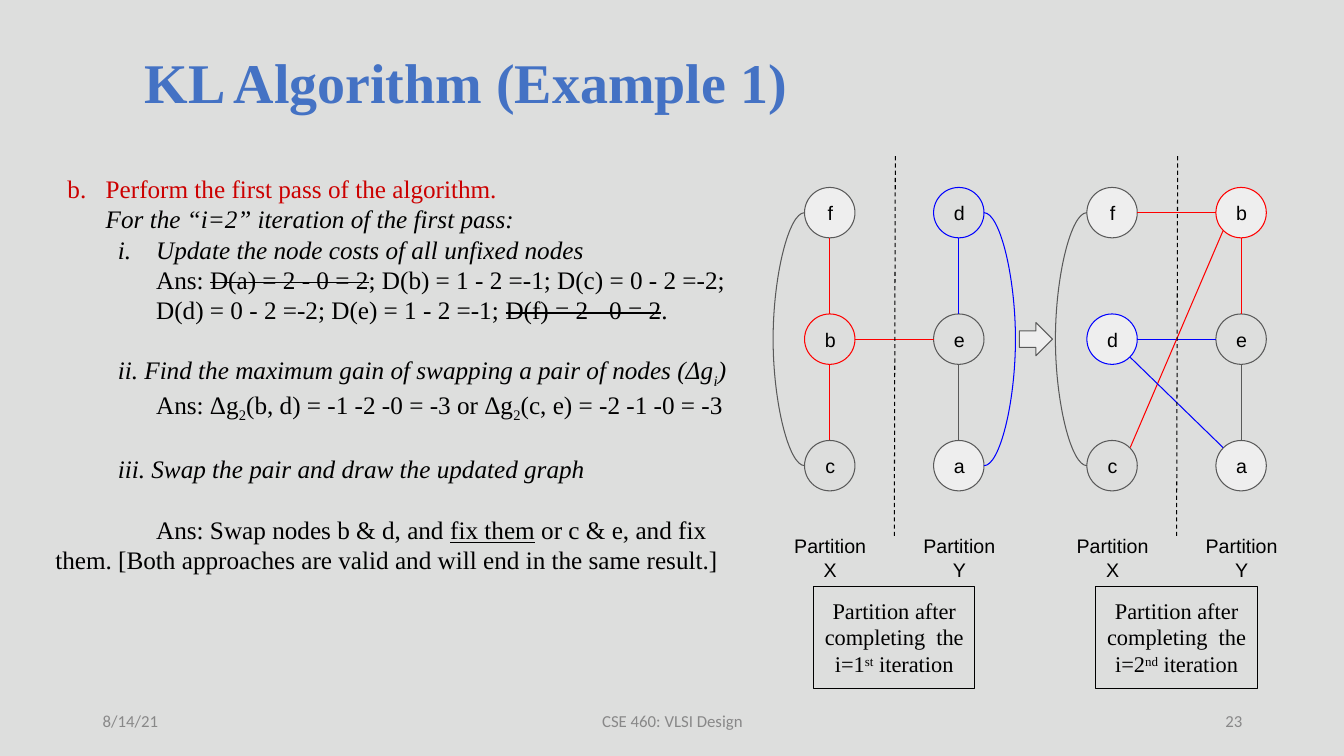
from pptx import Presentation
from pptx import util as u
from pptx.dml.color import RGBColor
from pptx.enum import dml, shapes, text
from pptx.oxml.ns import qn
from lxml import etree

BACKGROUND = RGBColor(0xDD, 0xDE, 0xDD)
TITLE_BLUE = RGBColor(0x44, 0x72, 0xC4)
FOOTER_GRAY = RGBColor(0x88, 0x88, 0x88)
HEADING_RED = RGBColor(0xCC, 0x00, 0x00)
BLACK = RGBColor(0x00, 0x00, 0x00)
GRAY = RGBColor(0x59, 0x59, 0x59)
LIGHT = RGBColor(0xEE, 0xEE, 0xEE)
RED = RGBColor(0xFF, 0x00, 0x00)
BLUE = RGBColor(0x00, 0x00, 0xFF)
SERIF, SANS, FOOTER_FONT = "Times New Roman", "Arial", "Calibri"
LEFT, CENTER, RIGHT = text.PP_ALIGN.LEFT, text.PP_ALIGN.CENTER, text.PP_ALIGN.RIGHT
TOP, MIDDLE = text.MSO_ANCHOR.TOP, text.MSO_ANCHOR.MIDDLE
NODE, RADIUS, CORNER = 0.5, 0.25, 0.18
COLUMN_PITCH, ROW_PITCH = 1.28, 1.255
BLANK_LINE = 21.6


def add_span(para, words, size=18, font=SERIF, color=BLACK, bold=False,
             italic=False, underline=False, strike=False, baseline=0):
    """Add a formatted run to a paragraph."""
    span = para.add_run()
    span.text = words
    span.font.size = u.Pt(size)
    span.font.name = font
    span.font.color.rgb = color
    span.font.bold, span.font.italic = bold, italic
    if underline:
        span.font.underline = True
    properties = span._r.get_or_add_rPr()
    if strike:
        properties.set("strike", "sngStrike")
    if baseline:
        properties.set("baseline", str(baseline * 1000))


def set_frame(box, align=LEFT, anchor=TOP, insets=(0.1, 0.1, 0.1, 0.1), grow=False):
    """Prepare the text frame of a box and return its first paragraph."""
    frame = box.text_frame
    frame.word_wrap = True
    frame.vertical_anchor = anchor
    (frame.margin_left, frame.margin_top,
     frame.margin_right, frame.margin_bottom) = map(u.Inches, insets)
    if grow:
        frame.auto_size = text.MSO_AUTO_SIZE.SHAPE_TO_FIT_TEXT
    para = frame.paragraphs[0]
    para.alignment = align
    return para


def add_box(page, bounds):
    """Add a text box at left, top, width, height."""
    return page.shapes.add_textbox(*map(u.Inches, bounds))


def add_shape(page, kind, bounds, line, fill=None):
    """Add a thinly outlined preset shape."""
    shape = page.shapes.add_shape(kind, *map(u.Inches, bounds))
    shape.shadow.inherit = False
    if fill is None:
        shape.fill.background()
    else:
        shape.fill.solid()
        shape.fill.fore_color.rgb = fill
    shape.line.color.rgb = line
    shape.line.width = u.Pt(0.75)
    return shape


def add_line(page, start, end, color, kind=shapes.MSO_CONNECTOR.STRAIGHT):
    """Add a thin connector without a shadow."""
    line = page.shapes.add_connector(kind, *map(u.Inches, (*start, *end)))
    line.line.color.rgb = color
    line.line.width = u.Pt(0.75)
    etree.SubElement(line._element.spPr, qn("a:effectLst"))
    return line


def add_arc(page, x, top, bottom, bulge, color):
    """Add a curved connector that bows sideways between two points."""
    arc = add_line(page, (x, top), (x, bottom), color, shapes.MSO_CONNECTOR.CURVE)
    arc.width = u.Emu(600)
    guides = arc._element.spPr.find(qn("a:prstGeom")).get_or_add_avLst()
    ratio = round(u.Inches(bulge) / 600 * 100000)
    etree.SubElement(guides, qn("a:gd"), name="adj1", fmla=f"val {ratio}")


def set_indent(para, margin, indent, level=0, numbering=None, start=1, color=BLACK):
    """Set the indents of a paragraph and its automatic number."""
    para.level = level
    properties = para._p.get_or_add_pPr()
    properties.set("marL", str(u.Inches(margin)))
    properties.set("indent", str(u.Inches(indent)))
    if numbering:
        bullet_color = etree.SubElement(properties, qn("a:buClr"))
        etree.SubElement(bullet_color, qn("a:srgbClr"), val=str(color))
        number = etree.SubElement(properties, qn("a:buAutoNum"), type=numbering)
        if start > 1:
            number.set("startAt", str(start))


def add_title(page, bounds):
    """Add the slide title."""
    para = set_frame(add_box(page, bounds), anchor=MIDDLE, insets=(0.1, 0.01, 0.1, 0.05))
    set_indent(para, 0.01, 0)
    para.line_spacing = 0.9
    add_span(para, "KL Algorithm (Example 1)", size=40, color=TITLE_BLUE, bold=True)


def add_footer(page, top):
    """Add the date, course and slide number."""
    for left, width, words, align in ((0.92, 3, "8/14/21", LEFT),
                                      (4.42, 4.5, "CSE 460: VLSI Design", CENTER),
                                      (9.42, 3, "23", RIGHT)):
        box = add_box(page, (left, top, width, 0.4))
        para = set_frame(box, align, MIDDLE, (0.1, 0.05, 0.1, 0.05))
        add_span(para, words, size=12, font=FOOTER_FONT, color=FOOTER_GRAY)


def add_solution(page, bounds):
    """Add the worked steps of the second iteration."""
    box = add_box(page, bounds)
    para = set_frame(box)
    set_indent(para, 0.5, -0.38, numbering="alphaLcPeriod", start=2, color=HEADING_RED)
    add_span(para, "Perform the first pass of the algorithm. ", color=HEADING_RED)
    para.add_line_break()
    add_span(para, "For the “i=2” iteration of the first pass:", italic=True)

    italic, struck = {"italic": True}, {"strike": True}
    lowered = {"baseline": -25}
    step = {"margin": 0.62, "indent": 0, "level": 1}
    answer = {"margin": 0, "indent": 1}
    steps = (
        ({"margin": 1, "indent": -0.38, "level": 1, "numbering": "romanLcPeriod"}, 0,
         [("Update the node costs of all unfixed nodes", italic)]),
        (answer, 0, [("Ans: ", {}), ("D(a) = 2 - 0 = 2", struck),
                     ("; D(b) = 1 - 2 =-1; D(c) = 0 - 2 =-2;", {})]),
        ({"margin": 0.5, "indent": 0.5}, 0,
         [("D(d) = 0 - 2 =-2; D(e) = 1 - 2 =-1; ", {}),
          ("D(f) = 2 - 0 = 2", struck), (".", {})]),
        (step, BLANK_LINE,
         [("ii. Find the maximum gain of swapping a pair of nodes (Δg", italic),
          ("i", {**italic, **lowered}), (")", italic)]),
        (answer, 0, [("Ans: Δg", {}), ("2", lowered),
                     ("(b, d) = -1 -2 -0 = -3 or Δg", {}), ("2", lowered),
                     ("(c, e) = -2 -1 -0 = -3", {})]),
        (step, BLANK_LINE, [("iii. Swap the pair and draw the updated graph", italic)]),
        (answer, BLANK_LINE,
         [("Ans: Swap nodes b & d, and ", {}), ("fix them", {"underline": True}),
          (" or c & e, and fix them. [Both approaches are valid and will end in"
           " the same result.]", {})]),
    )
    for layout, gap, spans in steps:
        para = box.text_frame.add_paragraph()
        set_indent(para, **layout)
        if gap:
            para.space_before = u.Pt(gap)
        for words, style in spans:
            add_span(para, words, **style)


def add_graph(page, left, top, columns, outlines, filled, edges, arcs, ordinal):
    """Add a partitioned graph with its column labels and caption."""
    centers = {}
    for column, names in enumerate(columns):
        for row, name in enumerate(names):
            x, y = left + column * COLUMN_PITCH, top + row * ROW_PITCH
            centers[name] = (x + RADIUS, y + RADIUS)
            add_shape(page, shapes.MSO_SHAPE.OVAL, (x, y, NODE, NODE),
                      outlines.get(name, GRAY), LIGHT if name in filled else None)
            para = set_frame(add_box(page, (x + 0.09, y + 0.03, 0.33, 0.44)), CENTER, MIDDLE)
            add_span(para, name, size=14, font=SANS)
        label = add_box(page, (left + column * COLUMN_PITCH - 0.21, top + 3.34, 0.93, 0.67))
        add_span(set_frame(label, CENTER, grow=True), f"Partition {'XY'[column]}",
                 size=14, font=SANS)

    for (first, second), color in edges.items():
        (x1, y1), (x2, y2) = centers[first], centers[second]
        across, down = (x2 > x1) - (x2 < x1), (y2 > y1) - (y2 < y1)
        reach = CORNER if across and down else RADIUS
        add_line(page, (x1 + across * reach, y1 + down * reach),
                 (x2 - across * reach, y2 - down * reach), color)
    for (first, second), (side, color) in arcs.items():
        x, y = centers[first]
        add_arc(page, x + side * RADIUS, y, centers[second][1], side * 0.26, color)

    divider = add_line(page, (left + 0.9, top - 0.31), (left + 0.89, top + 3.47), BLACK)
    divider.line.dash_style = dml.MSO_LINE.DASH

    caption = add_shape(page, shapes.MSO_SHAPE.RECTANGLE,
                        (left + 0.09, top + 3.96, 1.6, 1.01), BLACK)
    para = set_frame(caption, CENTER, grow=True)
    add_span(para, f"Partition after completing  the i={ordinal[0]}", size=16)
    add_span(para, ordinal[1:], size=16, baseline=30)
    add_span(para, " iteration", size=16)


def main():
    """Build the slide and save it."""
    deck = Presentation()
    deck.slide_width, deck.slide_height = u.Inches(13.33), u.Inches(7.5)
    page = deck.slides.add_slide(deck.slide_layouts[6])
    page.background.fill.solid()
    page.background.fill.fore_color.rgb = BACKGROUND
    add_footer(page, 6.95)
    add_title(page, (1.33, 0.48, 9.94, 0.78))
    add_solution(page, (0.45, 1.62, 7.18, 4.66))
    outlines = {"b": RED, "d": BLUE}
    add_graph(page, 7.98, 1.86, ("fbc", "dea"), outlines, "fa",
              {"de": BLUE, "be": RED, "bc": RED, "ea": GRAY, "fb": RED},
              {"da": (1, BLUE), "fc": (-1, GRAY)}, "1st")
    add_graph(page, 10.78, 1.86, ("fdc", "bea"), outlines, "fbda",
              {"de": BLUE, "fb": RED, "cb": RED, "da": BLUE, "ea": GRAY, "be": RED},
              {"fc": (-1, GRAY)}, "2nd")
    add_shape(page, shapes.MSO_SHAPE.RIGHT_ARROW, (10.11, 3.2, 0.33, 0.33), GRAY, LIGHT)
    deck.save("out.pptx")


if __name__ == "__main__":
    main()
